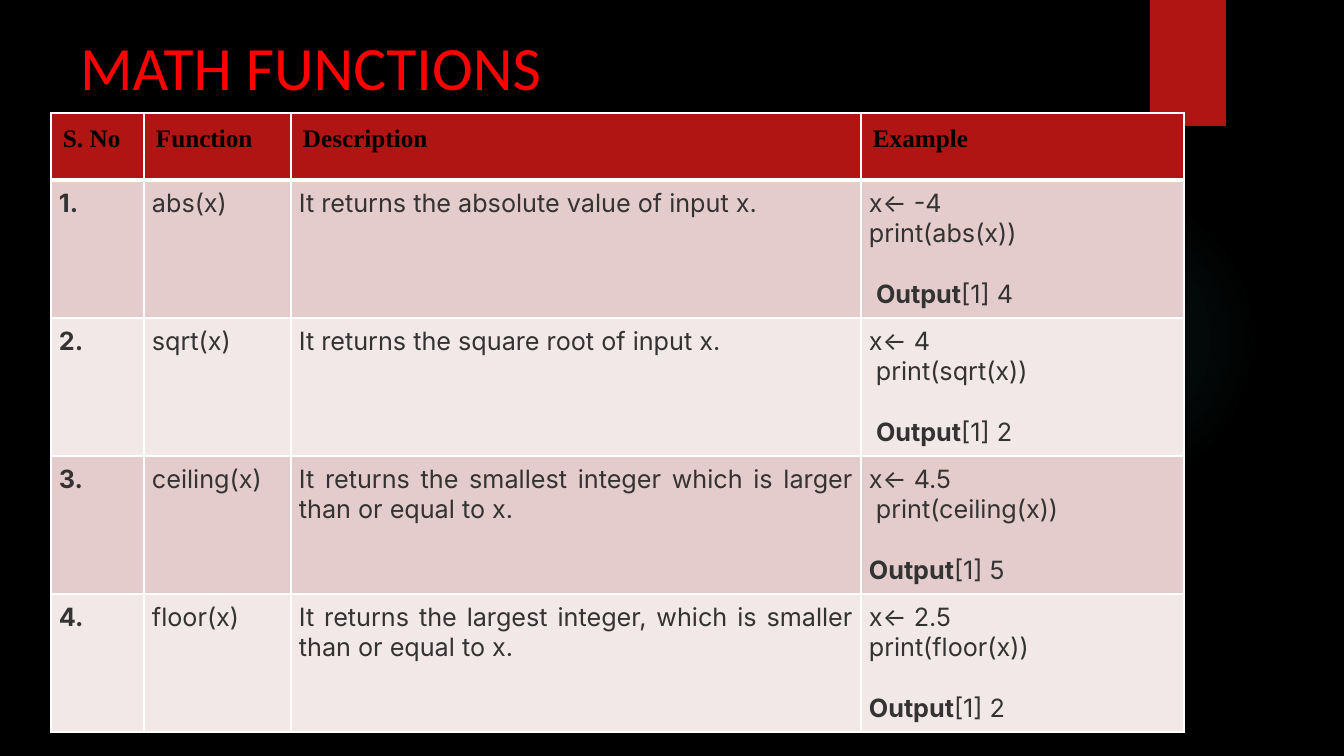
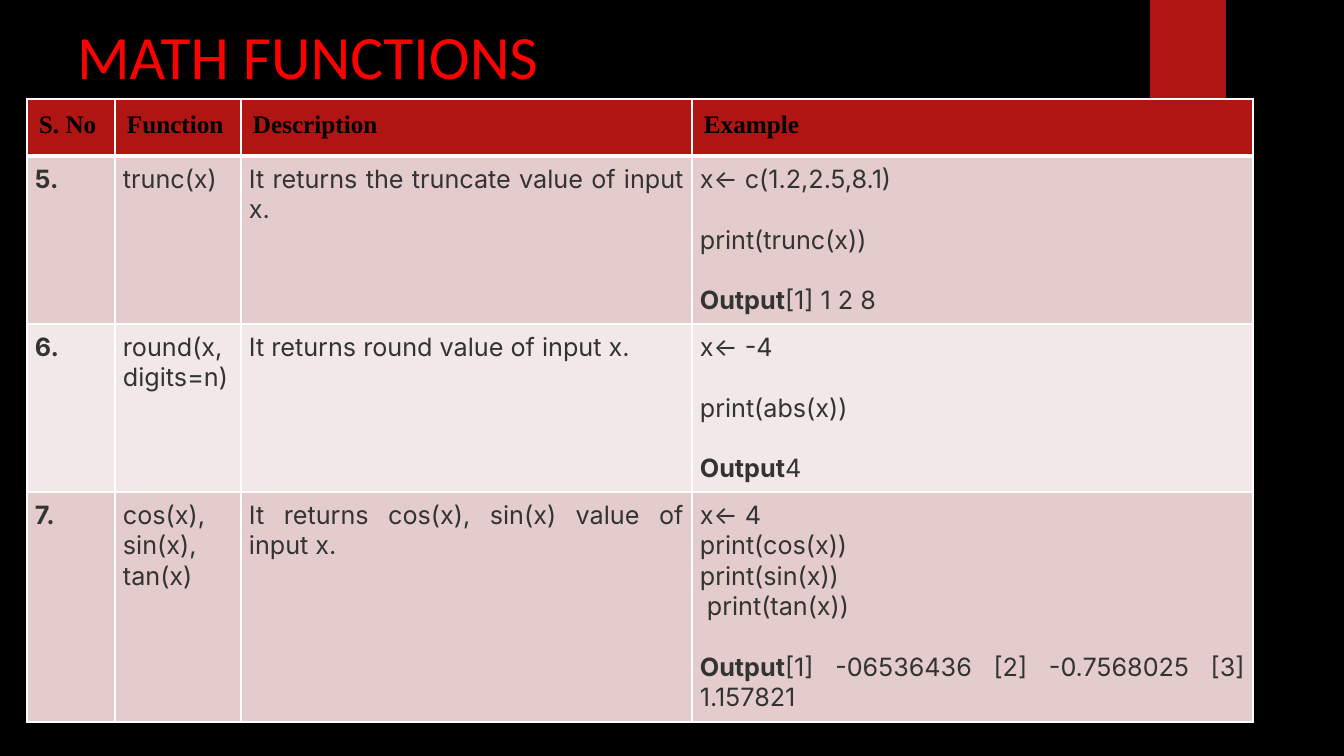
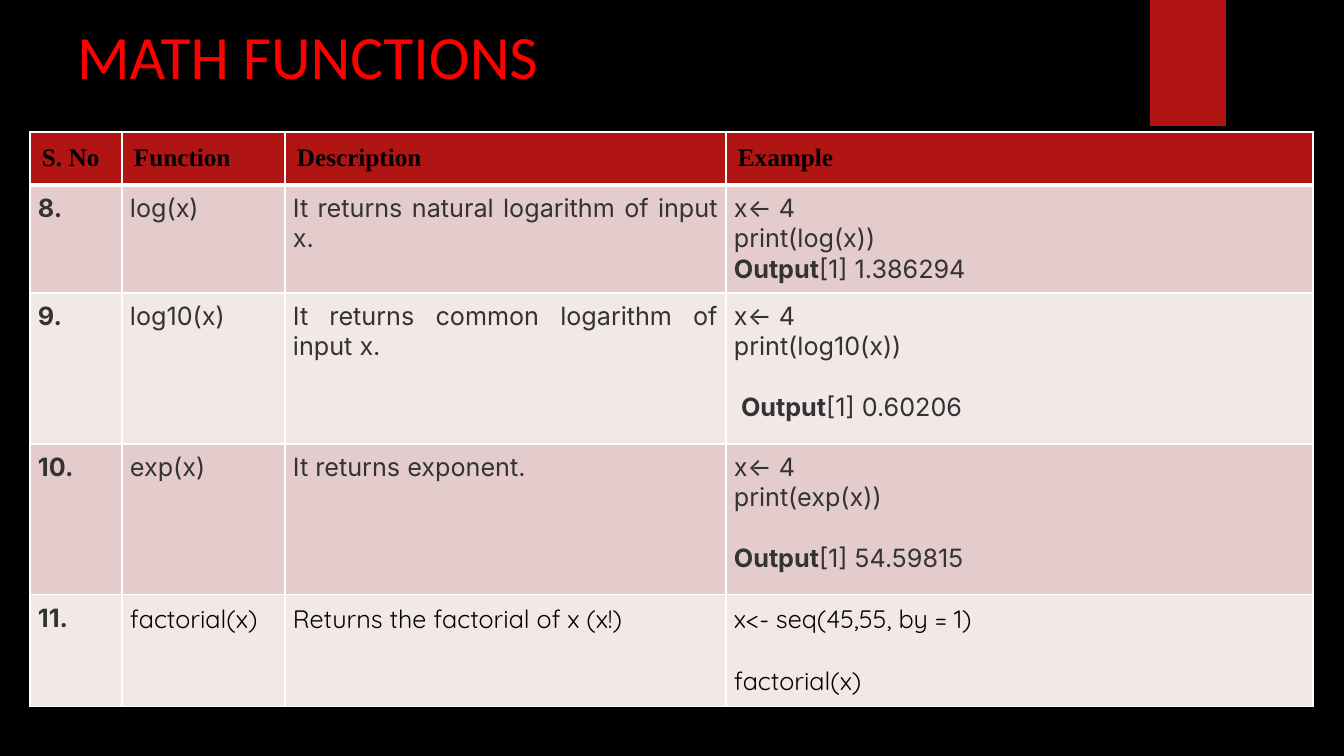
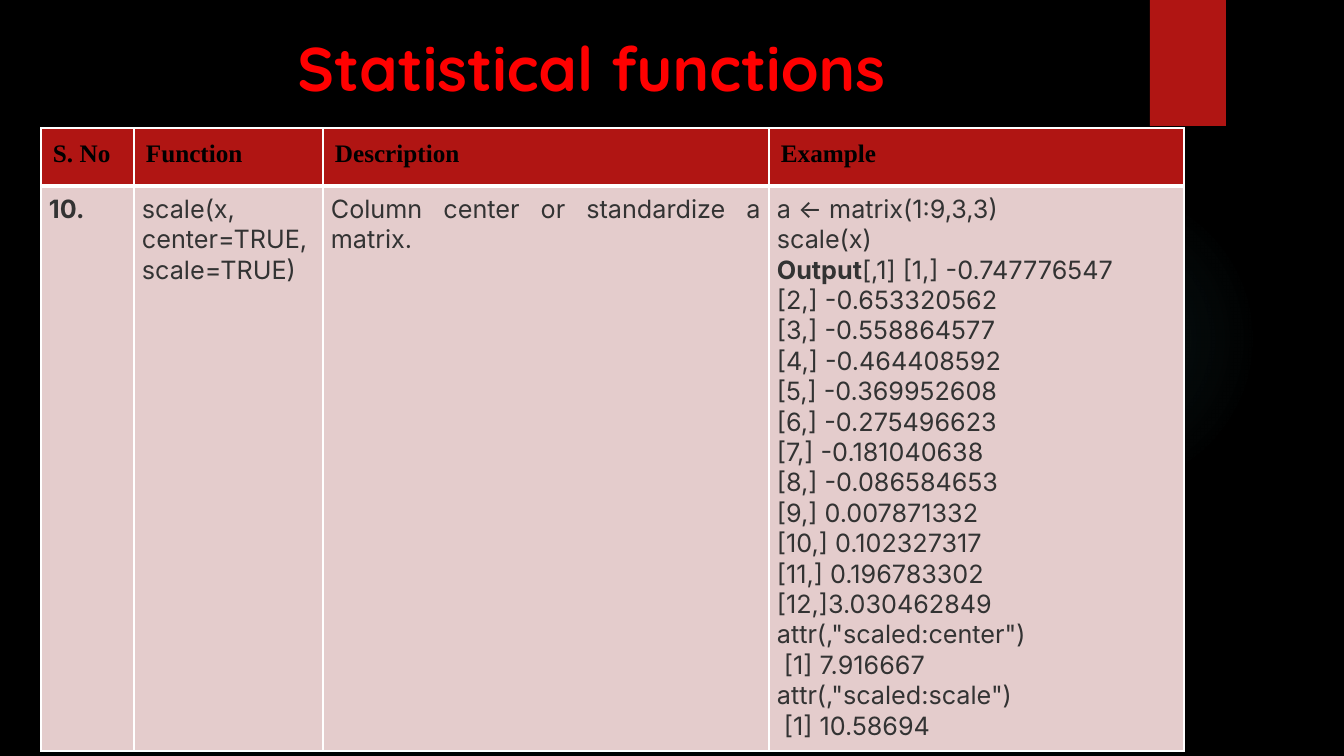
"""Four slides of tables listing R math and statistical functions."""
from lxml import etree
from pptx import Presentation
from pptx import util as u
from pptx.dml.color import RGBColor
from pptx.enum import shapes, text
from pptx.oxml import parse_xml
from pptx.oxml.ns import nsdecls, qn

SCALE = 914400 / 100.8
TITLE_ONLY = 5
HEADINGS = ("S. No", "Function", "Description", "Example")


def px(n):
    """Turn pixels into EMU."""
    return u.Emu(round(n * SCALE))


def rgb(value):
    """Turn a hex string into a colour."""
    return RGBColor.from_string(value)


class Deck:
    """Holds the shared style and the current slide."""

    BLACK, RED, TITLE, INK, WHITE = "000000", "B01513", "FF0000", "333333", "FFFFFF"
    GLOW = "50B9C1"
    BANDS = ("E4CCCC", "F2E8E7")
    HEAD_FONT, BODY_FONT, ROUND_FONT = "Times New Roman", "Inter", "Quicksand"
    SIZE, BLANK_LINE = 18, 21.7

    def __init__(self):
        """Start a black widescreen presentation."""
        self.prs = Presentation()
        self.prs.slide_width, self.prs.slide_height = px(1344), px(756)
        self.layout = self.prs.slide_layouts[TITLE_ONLY]
        self.slide = None
        fill = self.prs.slide_master.background.fill
        fill.solid()
        fill.fore_color.rgb = rgb(self.BLACK)

    def add_slide(self):
        """Add a slide; the first one also decorates the layout."""
        first = self.slide is None
        self.slide = self.prs.slides.add_slide(self.layout)
        if first:
            self.decorate_layout()

    def decorate_layout(self):
        """Put the glow and the red tab on the layout."""
        glow = self.shape(shapes.MSO_SHAPE.OVAL, 949, 184, 310, 310, self.GLOW)
        stops = "".join(
            f'<a:gs pos="{pos * 1000}"><a:srgbClr val="{self.GLOW}">'
            f'<a:alpha val="{alpha * 1000}"/></a:srgbClr></a:gs>'
            for pos, alpha in ((0, 7), (36, 6), (69, 0), (100, 0)))
        solid = glow.element.spPr.find(qn("a:solidFill"))
        solid.getparent().replace(solid, parse_xml(
            f'<a:gradFill {nsdecls("a")}><a:gsLst>{stops}</a:gsLst>'
            '<a:path path="circle"><a:fillToRect l="50000" t="50000" '
            'r="50000" b="50000"/></a:path></a:gradFill>'))
        tab = self.shape(shapes.MSO_SHAPE.RECTANGLE, 1150, 0, 76, 126, self.RED)
        for sp in (glow, tab):
            self.layout.shapes.element.append(sp.element)

    def shape(self, kind, x, y, w, h, colour):
        """Add a filled shape without line or shadow."""
        sp = self.slide.shapes.add_shape(kind, px(x), px(y), px(w), px(h))
        sp.shadow.inherit = False
        sp.fill.solid()
        sp.fill.fore_color.rgb = rgb(colour)
        sp.line.fill.background()
        return sp

    def style(self, r, font, colour, bold=False, size=SIZE):
        """Format one run."""
        r.font.name, r.font.size, r.font.bold = font, u.Pt(size), bold
        r.font.color.rgb = rgb(colour)

    def title(self, words, x, y, h=71, font="Calibri", bold=False,
              align=text.PP_ALIGN.LEFT):
        """Place and format the title."""
        sp = self.slide.shapes.title
        sp.left, sp.top, sp.width, sp.height = px(x), px(y), px(1037), px(h)
        tf = sp.text_frame
        tf.text = words
        tf.auto_size = text.MSO_AUTO_SIZE.NONE
        tf.vertical_anchor = text.MSO_ANCHOR.TOP
        p = tf.paragraphs[0]
        p.alignment = align
        self.style(p.runs[0], font, self.TITLE, bold, 44)

    def cell(self, cell, fill, margin, top=1, bottom=1):
        """Set the borders, fill and margins of a cell."""
        tc_pr = cell._tc.get_or_add_tcPr()
        for side, width in (("L", 1), ("R", 1), ("T", top), ("B", bottom)):
            ln = etree.SubElement(tc_pr, qn(f"a:ln{side}"), w=str(u.Pt(width)))
            solid = etree.SubElement(ln, qn("a:solidFill"))
            etree.SubElement(solid, qn("a:srgbClr"), val=self.WHITE)
        cell.fill.solid()
        cell.fill.fore_color.rgb = rgb(fill)
        cell.margin_left = cell.margin_right = px(margin)
        cell.margin_top = cell.margin_bottom = px(margin)

    def body_text(self, cell, words, bold=False):
        """Fill in body lines; an empty line becomes space before the next."""
        tf = cell.text_frame
        p, gap = tf.paragraphs[0], 0
        for i, line in enumerate(words.split("\n")):
            if not line:
                gap = self.BLANK_LINE
                continue
            p = tf.add_paragraph() if i else p
            p.alignment = text.PP_ALIGN.JUSTIFY
            p.space_before, gap = u.Pt(gap), 0
            for part in filter(None, line.partition("Output")):
                r = p.add_run()
                r.text = part
                self.style(r, self.BODY_FONT, self.INK, bold or part == "Output")

    def table(self, x, y, widths, heights, start, rows):
        """Add a table whose rows are numbered from start."""
        t = self.slide.shapes.add_table(
            len(heights), len(widths), px(x), px(y),
            px(sum(widths)), px(sum(heights))).table
        for column, width in zip(t.columns, widths):
            column.width = px(width)
        for row, height in zip(t.rows, heights):
            row.height = px(height)
        for c, heading in enumerate(HEADINGS):
            head = t.cell(0, c)
            self.cell(head, self.RED, 12, bottom=3)
            head.text_frame.text = heading
            self.style(head.text_frame.paragraphs[0].runs[0],
                       self.HEAD_FONT, self.BLACK, True)
        for i, row in enumerate(rows):
            for c, words in enumerate((f"{start + i}.", *row)):
                body = t.cell(i + 1, c)
                self.cell(body, self.BANDS[i % 2], 8, top=1 if i else 3)
                self.body_text(body, words, bold=c == 0)
        return t

    def round_text(self, cell):
        """Switch a body cell to the rounded black font."""
        for p in cell.text_frame.paragraphs:
            for r in p.runs:
                self.style(r, self.ROUND_FONT, self.BLACK)


deck = Deck()

deck.add_slide()
deck.title("MATH FUNCTIONS", 70, 24)
deck.table(51, 113, (93, 147, 570, 323), (67, 138, 138, 138, 138), 1, (
    ("abs(x)", "It returns the absolute value of input x.",
     "x<- -4\nprint(abs(x))\n\n Output[1] 4"),
    ("sqrt(x)", "It returns the square root of input x.",
     "x<- 4\n print(sqrt(x))\n\n Output[1] 2"),
    ("ceiling(x)",
     "It returns the smallest integer which is larger than or equal to x.",
     "x<- 4.5\n print(ceiling(x))\n\nOutput[1] 5"),
    ("floor(x)",
     "It returns the largest integer, which is smaller than or equal to x.",
     "x<- 2.5\nprint(floor(x))\n\nOutput[1] 2"),
))

deck.add_slide()
deck.title("MATH FUNCTIONS", 67, 13)
deck.table(27, 99, (88, 126, 451, 561), (57, 168, 168, 230), 5, (
    ("trunc(x)", "It returns the truncate value of input x.",
     "x<- c(1.2,2.5,8.1)\n\nprint(trunc(x))\n\nOutput[1] 1 2 8"),
    ("round(x, digits=n)", "It returns round value of input x.",
     "x<- -4\n\nprint(abs(x))\n\nOutput4"),
    ("cos(x), sin(x), tan(x)", "It returns cos(x), sin(x) value of input x.",
     "x<- 4\nprint(cos(x))\nprint(sin(x))\n print(tan(x))\n\n"
     "Output[1] -06536436 [2] -0.7568025 [3] 1.157821"),
))

deck.add_slide()
deck.title("MATH FUNCTIONS", 67, 13)
logs = deck.table(30, 132, (92, 163, 441, 587), (53, 108, 151, 151, 112), 8, (
    ("log(x)", "It returns natural logarithm of input x.",
     "x<- 4\nprint(log(x))\nOutput[1] 1.386294"),
    ("log10(x)", "It returns common logarithm of input x.",
     "x<- 4\nprint(log10(x))\n\n Output[1] 0.60206"),
    ("exp(x)", "It returns exponent.",
     "x<- 4\nprint(exp(x))\n\nOutput[1] 54.59815"),
    ("factorial(x)", "Returns the factorial of x (x!)",
     "x<- seq(45,55, by = 1)\n\nfactorial(x)"),
))
for col in range(1, 4):
    deck.round_text(logs.cell(4, col))

deck.add_slide()
deck.title("Statistical functions", 73, 25, 106, Deck.ROUND_FONT, True,
           text.PP_ALIGN.CENTER)
deck.table(41, 128, (93, 189, 446, 415), (58, 565), 10, (
    ("scale(x, center=TRUE, scale=TRUE)",
     "Column center or standardize a matrix.",
     "a <- matrix(1:9,3,3)\nscale(x)\nOutput[,1] [1,] -0.747776547\n"
     "[2,] -0.653320562\n[3,] -0.558864577\n[4,] -0.464408592\n"
     "[5,] -0.369952608\n[6,] -0.275496623\n[7,] -0.181040638\n"
     "[8,] -0.086584653\n[9,] 0.007871332\n[10,] 0.102327317\n"
     "[11,] 0.196783302\n[12,]3.030462849 attr(,\"scaled:center\")\n"
     " [1] 7.916667\nattr(,\"scaled:scale\")\n [1] 10.58694"),
))

deck.prs.save("out.pptx")
